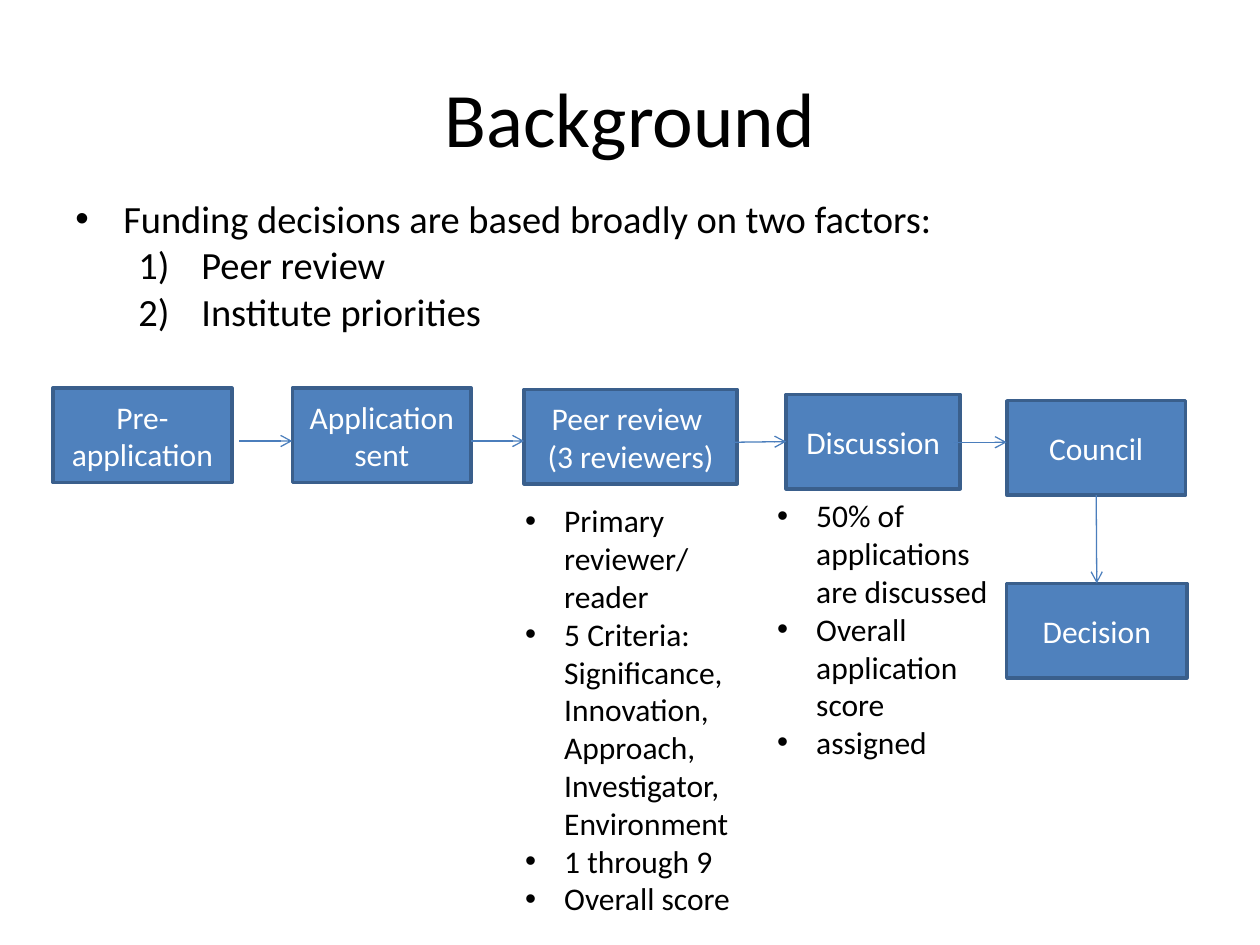
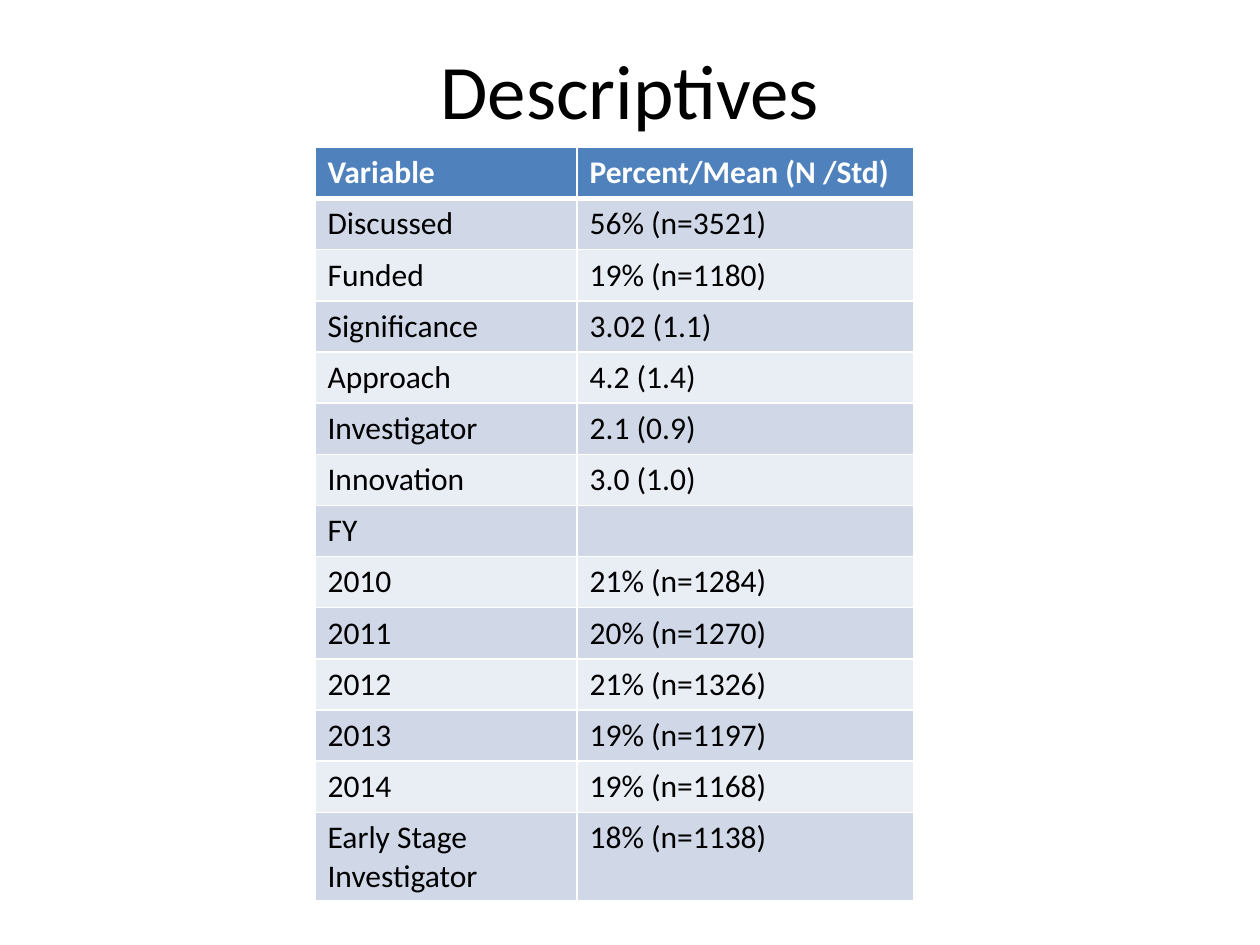
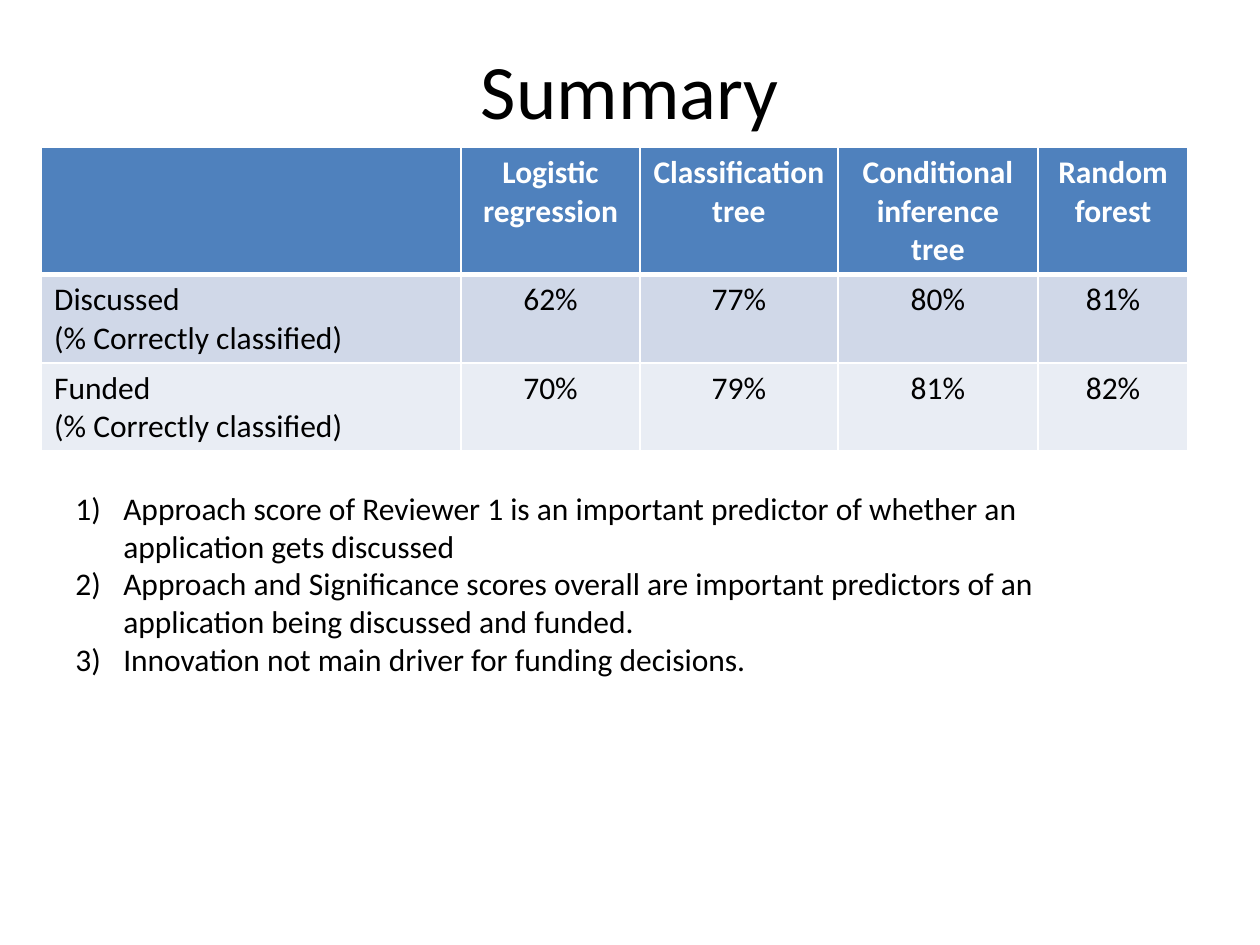
from dataclasses import dataclass
from lxml.etree import SubElement
from pptx import Presentation
from pptx.dml.color import RGBColor
from pptx.enum.shapes import MSO_CONNECTOR, MSO_SHAPE
from pptx.enum.text import MSO_ANCHOR, MSO_AUTO_SIZE, PP_ALIGN
from pptx.oxml.ns import qn
from pptx.util import Inches, Pt

FONT = "Calibri"
BLACK = RGBColor(0x00, 0x00, 0x00)
WHITE = RGBColor(0xFF, 0xFF, 0xFF)
BLUE = RGBColor(0x4F, 0x81, 0xBD)
EDGE = RGBColor(0x3A, 0x5F, 0x8C)
ARROW = RGBColor(0x4B, 0x7E, 0xBC)
BANDS = [RGBColor(0xE9, 0xED, 0xF4), RGBColor(0xD0, 0xD8, 0xE8)]
COLS, ROWS = 100, 75
CELL = Inches(0.1)
BODY, LEAD, HEAD = 18, 22, 44
LINE, TWO, THREE = 4.06, 7, 10.1
TOP, LEFT, BOTTOM = 0, 1, 2


@dataclass
class Box:
    x: float
    y: float
    w: float
    h: float

    def sub(self, x, y, w, h):
        return Box(self.x + x, self.y + y, w, h)

    def at(self, x, y):
        return span(self.x + x), span(self.y + y)

    def emu(self):
        return [span(v) for v in (self.x, self.y, self.w, self.h)]


def span(cells):
    return round(cells * CELL)


def mark(para, sign, margin, hang):
    props = para._p.get_or_add_pPr()
    props.set("marL", str(Inches(margin)))
    props.set("indent", str(-Inches(hang)))
    if sign == "•":
        SubElement(props, qn("a:buFont")).set("typeface", "Arial")
        SubElement(props, qn("a:buChar")).set("char", sign)
    else:
        SubElement(props, qn("a:buAutoNum")).set("type", "arabicParenR")


def write(frame, lines, size=BODY, color=BLACK, align=PP_ALIGN.LEFT, bold=False):
    frame.word_wrap = True
    paras = []
    for i, line in enumerate(lines):
        para = frame.add_paragraph() if i else frame.paragraphs[0]
        para.alignment = align
        run = para.add_run()
        run.text = line
        run.font.name = FONT
        run.font.size = Pt(size)
        run.font.bold = bold
        run.font.color.rgb = color
        paras.append(para)
    return paras


def title(slide, text, y=0.8):
    frame = slide.shapes.add_textbox(*Box(5, y, 90, 12.5).emu()).text_frame
    frame.vertical_anchor = MSO_ANCHOR.MIDDLE
    write(frame, [text], HEAD, align=PP_ALIGN.CENTER)


def points(slide, box, lines, sign="•", hang=0.31, size=BODY):
    frame = slide.shapes.add_textbox(*box.emu()).text_frame
    paras = write(frame, lines, size)
    frame.auto_size = MSO_AUTO_SIZE.SHAPE_TO_FIT_TEXT
    for para in paras:
        mark(para, sign, hang, hang)
    return paras


def factors(slide, box):
    lines = ["Funding decisions are based broadly on two factors:",
             "Peer review", "Institute priorities"]
    for para in points(slide, box, lines, hang=0.38, size=LEAD)[1:]:
        for child in list(para._p.pPr):
            para._p.pPr.remove(child)
        para.level = 1
        mark(para, "1)", 1, 0.5)


def step(slide, box, lines):
    shape = slide.shapes.add_shape(MSO_SHAPE.RECTANGLE, *box.emu())
    shape.shadow.inherit = False
    shape.fill.solid()
    shape.fill.fore_color.rgb = BLUE
    shape.line.color.rgb = EDGE
    shape.line.width = Pt(2)
    shape.text_frame.vertical_anchor = MSO_ANCHOR.MIDDLE
    write(shape.text_frame, lines, color=WHITE, align=PP_ALIGN.CENTER)
    return shape


def arrow(slide, start, end):
    link = slide.shapes.add_connector(MSO_CONNECTOR.STRAIGHT, *start, *end)
    link.line.color.rgb = ARROW
    link.line.width = Pt(0.75)
    props = link.element.spPr
    SubElement(props.find(qn("a:ln")), qn("a:tailEnd")).set("type", "arrow")
    SubElement(props, qn("a:effectLst"))
    return link


def flow(slide, box):
    tall = 7.5
    steps = [
        (0, 0, 14.2, ["Pre-application"]),
        (19, 0, 14.2, ["Application sent"]),
        (37.4, 0.1, 16.9, ["Peer review ", "(3 reviewers)"]),
        (58.2, 0.5, 13.8, ["Discussion"]),
        (75.7, 1, 14.2, ["Council"]),
        (75.7, 15.5, 14.3, ["Decision"]),
    ]
    shapes = [step(slide, box.sub(x, y, w, tall), text) for x, y, w, text in steps]
    talk, council, choice = shapes[3:]
    gap = 4.2
    ends = [(19, 4.2), (37.4, 4.2), (58.2, 4.3), (75.7, 4.3)]
    links = [arrow(slide, box.at(x - gap, y), box.at(x, y)) for x, y in ends]
    links[2].end_connect(talk, LEFT)
    down = arrow(slide, box.at(82.8, 8.5), box.at(82.8, 15.5))
    down.begin_connect(council, BOTTOM)
    down.end_connect(choice, TOP)
    points(slide, box.sub(36.5, 8.5, 20, 34.3), [
        "Primary reviewer/ reader",
        "5 Criteria: Significance, Innovation, Approach, Investigator, Environment",
        "1 through 9", "Overall score"])
    points(slide, box.sub(56.5, 8.1, 20, 22.2), [
        "50% of applications are discussed", "Overall application score", "assigned"])


def border(cell, head):
    props = cell._tc.get_or_add_tcPr()
    for side in ("L", "R", "T", "B"):
        width = 3 if head and side == "B" else 1
        line = SubElement(props, qn(f"a:ln{side}"), w=str(Pt(width)))
        fill = SubElement(line, qn("a:solidFill"))
        SubElement(fill, qn("a:srgbClr")).set("val", str(WHITE))


def grid(slide, box, cols, rows, data, align=PP_ALIGN.LEFT):
    table = slide.shapes.add_table(len(rows), len(cols), *box.emu()).table
    for col, width in zip(table.columns, cols):
        col.width = span(width)
    for r, (row, height) in enumerate(zip(table.rows, rows)):
        row.height = span(height)
        for c, (cell, text) in enumerate(zip(row.cells, data[r])):
            head = r == 0
            border(cell, head)
            cell.fill.solid()
            cell.fill.fore_color.rgb = BLUE if head else BANDS[r % 2]
            if text:
                write(cell.text_frame, text.split("\n"), color=WHITE if head else BLACK,
                      align=align if c else PP_ALIGN.LEFT, bold=head)


def background(slide):
    title(slide, "Background", 3)
    flow(slide, Box(4.2, 30.8, 90, 42.8))
    factors(slide, Box(5, 15, 90.8, 12.1))


def descriptives(slide):
    title(slide, "Descriptives")
    data = [
        ("Variable", "Percent/Mean (N /Std)"),
        ("Discussed", "56% (n=3521)"),
        ("Funded", "19% (n=1180)"),
        ("Significance", "3.02 (1.1)"),
        ("Approach", "4.2 (1.4)"),
        ("Investigator", "2.1 (0.9)"),
        ("Innovation", "3.0 (1.0)"),
        ("FY", ""),
        ("2010", "21% (n=1284)"),
        ("2011", "20% (n=1270)"),
        ("2012", "21% (n=1326)"),
        ("2013", "19% (n=1197)"),
        ("2014", "19% (n=1168)"),
        ("Early Stage Investigator", "18% (n=1138)"),
    ]
    rows = [LINE] * (len(data) - 1) + [TWO]
    grid(slide, Box(25, 11.7, 47.5, 59.7), [20.8, 26.7], rows, data)


def summary(slide):
    title(slide, "Summary")
    note = "\n(% Correctly classified)"
    data = [
        ("", "Logistic regression", "Classification tree",
         "Conditional inference tree", "Random forest"),
        ("Discussed" + note, "62%", "77%", "80%", "81%"),
        ("Funded" + note, "70%", "79%", "81%", "82%"),
    ]
    grid(slide, Box(3.3, 11.7, 91, 24), [33.3, 14.2, 15.7, 15.9, 11.9],
         [THREE, TWO, TWO], data, PP_ALIGN.CENTER)
    points(slide, Box(5, 38.3, 87.5, 19.2), [
        "Approach score of Reviewer 1 is an important predictor of whether an "
        "application gets discussed",
        "Approach and Significance scores overall are important predictors of an "
        "application being discussed and funded.",
        "Innovation not main driver for funding decisions."], "1)", 0.38)


def main():
    deck = Presentation()
    deck.slide_width = span(COLS)
    deck.slide_height = span(ROWS)
    for build in (background, descriptives, summary):
        build(deck.slides.add_slide(deck.slide_layouts[6]))
    deck.save("out.pptx")


if __name__ == "__main__":
    main()
